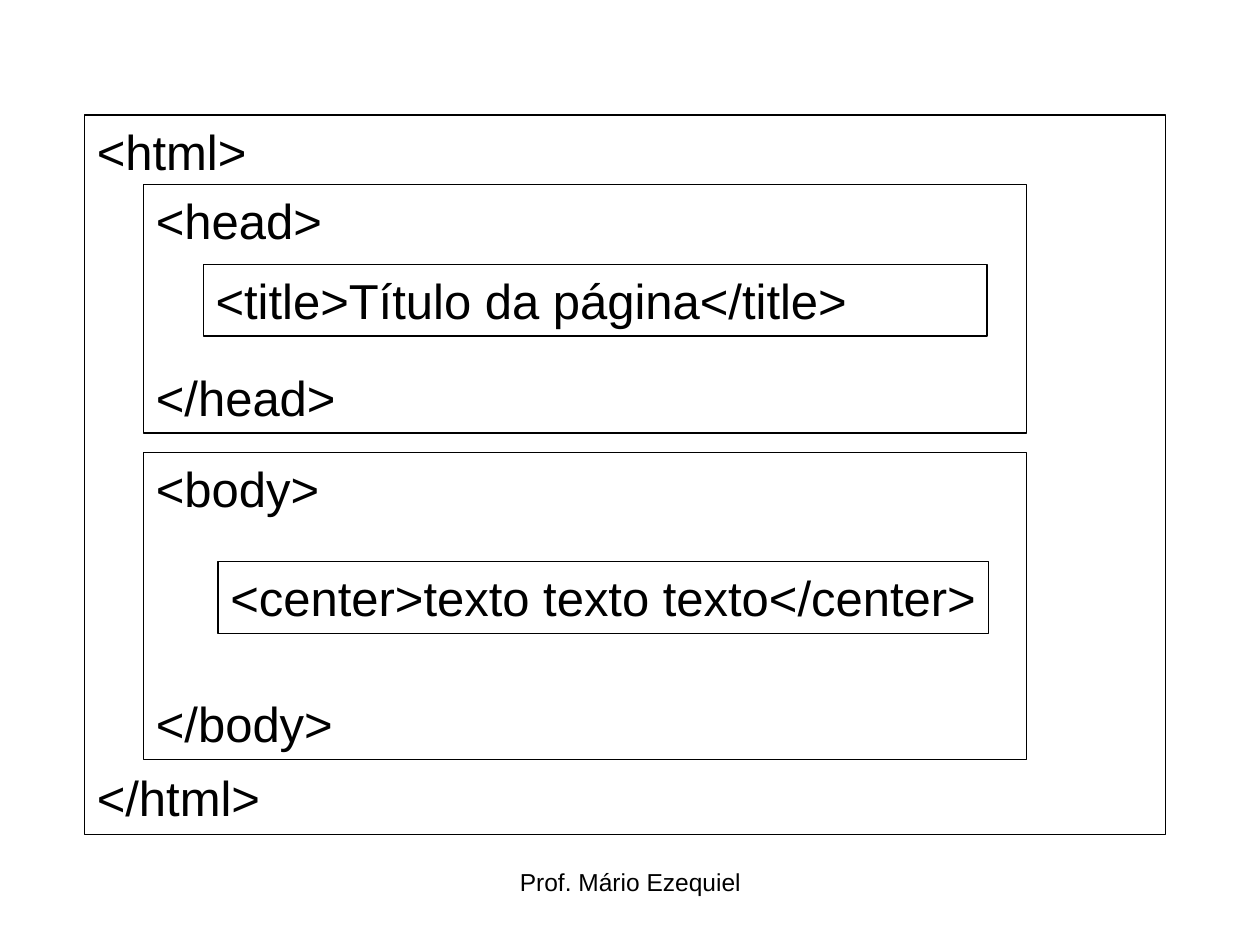
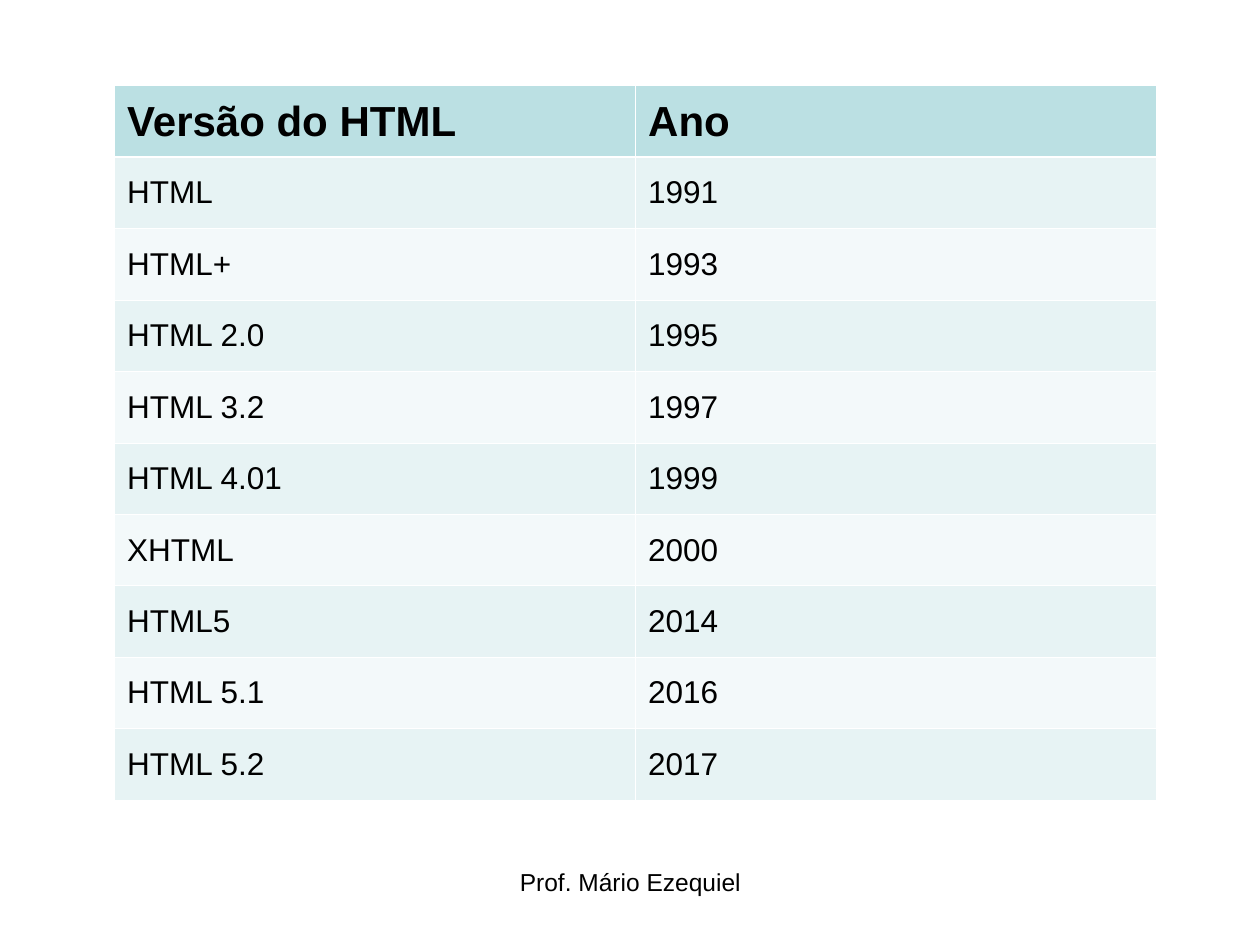
import dataclasses
import typing

import lxml.etree
import pptx
import pptx.dml.color
import pptx.enum.shapes
import pptx.enum.text
import pptx.oxml.ns
import pptx.util

Pt = pptx.util.Pt
COLOURS = {
    "ink": "000000",
    "rule": "FFFFFF",
    "header": "BBE0E3",
    "odd_row": "E7F3F4",
    "even_row": "F3F9FA",
}
LINE_HEIGHT = 1.2
TAG_SIZE = 28
THIN_RULE, THICK_RULE = 0.45, 1.47
ROW_HEIGHT = 40.82
VERSIONS = [
    ("Versão do HTML", "Ano"),
    ("HTML", "1991"),
    ("HTML+", "1993"),
    ("HTML 2.0", "1995"),
    ("HTML 3.2", "1997"),
    ("HTML 4.01", "1999"),
    ("XHTML", "2000"),
    ("HTML5", "2014"),
    ("HTML 5.1", "2016"),
    ("HTML 5.2", "2017"),
]


@dataclasses.dataclass(frozen=True)
class TagBox:
    """A framed element; the closing tag sits some lines below the opening."""

    left: float
    top: float
    width: float
    height: float
    opening: str
    closing: str = ""
    lines_between: int = 0
    wrap: bool = True


TAG_BOXES = [
    TagBox(48.24, 65.7, 617.8, 411, "<html>", "</html>", 10),
    TagBox(82, 105.5, 504.6, 142, "<head>", "</head>", 2),
    TagBox(116.1, 151, 447.9, 41, "<title>Título da página</title>"),
    TagBox(82, 258.5, 504.6, 175.5, "<body>", "</body>", 3),
    TagBox(124.6, 321, 440.1, 41, "<center>texto texto texto</center>", wrap=False),
]


def rgb(name: str) -> pptx.dml.color.RGBColor:
    return pptx.dml.color.RGBColor.from_string(COLOURS[name])


def apply(target: typing.Any, values: dict[str, typing.Any]) -> None:
    for attribute, value in values.items():
        setattr(target, attribute, value)


def write(paragraph: typing.Any, text: str, size: float, bold: bool = False) -> None:
    paragraph.text = text
    font = paragraph.runs[0].font
    apply(font, {"name": "Arial", "size": Pt(size), "bold": bold})
    font.color.rgb = rgb("ink")


def add_footer(slide: typing.Any) -> None:
    size = 14
    footer = slide.shapes.add_textbox(Pt(246), Pt(492), Pt(228.5), Pt(37.5))
    footer.text_frame.word_wrap = True
    author = footer.text_frame.paragraphs[0]
    write(author, "Prof. Mário Ezequiel", size)
    apply(author, {
        "alignment": pptx.enum.text.PP_ALIGN.CENTER,
        "line_spacing": Pt(size * LINE_HEIGHT),
    })


def add_tag_box(slide: typing.Any, box: TagBox) -> None:
    frame = slide.shapes.add_shape(
        pptx.enum.shapes.MSO_SHAPE.RECTANGLE,
        Pt(box.left), Pt(box.top), Pt(box.width), Pt(box.height),
    )
    frame.shadow.inherit = False
    frame.fill.background()
    frame.line.color.rgb = rgb("ink")
    frame.line.width = Pt(0.75)
    content = frame.text_frame
    apply(content, {
        "word_wrap": box.wrap,
        "vertical_anchor": pptx.enum.text.MSO_ANCHOR.TOP,
    })
    line_height = TAG_SIZE * LINE_HEIGHT
    write(content.paragraphs[0], box.opening, TAG_SIZE)
    if box.closing:
        closing = content.add_paragraph()
        write(closing, box.closing, TAG_SIZE)
        closing.space_before = Pt(box.lines_between * line_height)
    for tag in content.paragraphs:
        apply(tag, {
            "alignment": pptx.enum.text.PP_ALIGN.LEFT,
            "line_spacing": Pt(line_height),
        })


def add_borders(cell: typing.Any, widths: dict[str, float]) -> None:
    qn = pptx.oxml.ns.qn
    properties = cell._tc.get_or_add_tcPr()
    for side, width in widths.items():
        border = lxml.etree.SubElement(properties, qn(f"a:ln{side}"), w=str(Pt(width)))
        fill = lxml.etree.SubElement(border, qn("a:solidFill"))
        lxml.etree.SubElement(fill, qn("a:srgbClr"), val=COLOURS["rule"])


def add_version_table(slide: typing.Any) -> None:
    versions = slide.shapes.add_table(
        len(VERSIONS), 2, Pt(65.5), Pt(49), Pt(595.4), Pt(ROW_HEIGHT * len(VERSIONS))
    ).table
    apply(versions, {"first_row": False, "horz_banding": False})
    for column in versions.columns:
        column.width = Pt(297.7)
    for row_number, record in enumerate(VERSIONS):
        versions.rows[row_number].height = Pt(ROW_HEIGHT)
        is_header = row_number == 0
        band = "header" if is_header else "odd_row" if row_number % 2 else "even_row"
        borders = {
            "L": THIN_RULE,
            "R": THIN_RULE,
            "T": THICK_RULE if row_number == 1 else THIN_RULE,
            "B": THICK_RULE if is_header else THIN_RULE,
        }
        for column_number, value in enumerate(record):
            cell = versions.cell(row_number, column_number)
            cell.vertical_anchor = pptx.enum.text.MSO_ANCHOR.MIDDLE
            write(cell.text_frame.paragraphs[0], value, 24 if is_header else 18, is_header)
            add_borders(cell, borders)
            cell.fill.solid()
            cell.fill.fore_color.rgb = rgb(band)


def main() -> None:
    presentation = pptx.Presentation()
    apply(presentation, {"slide_width": Pt(720), "slide_height": Pt(540)})
    blank = presentation.slide_layouts[6]
    structure, history = (presentation.slides.add_slide(blank) for _ in range(2))
    for slide in (structure, history):
        add_footer(slide)
    for box in TAG_BOXES:
        add_tag_box(structure, box)
    add_version_table(history)
    presentation.save("out.pptx")


if __name__ == "__main__":
    main()
